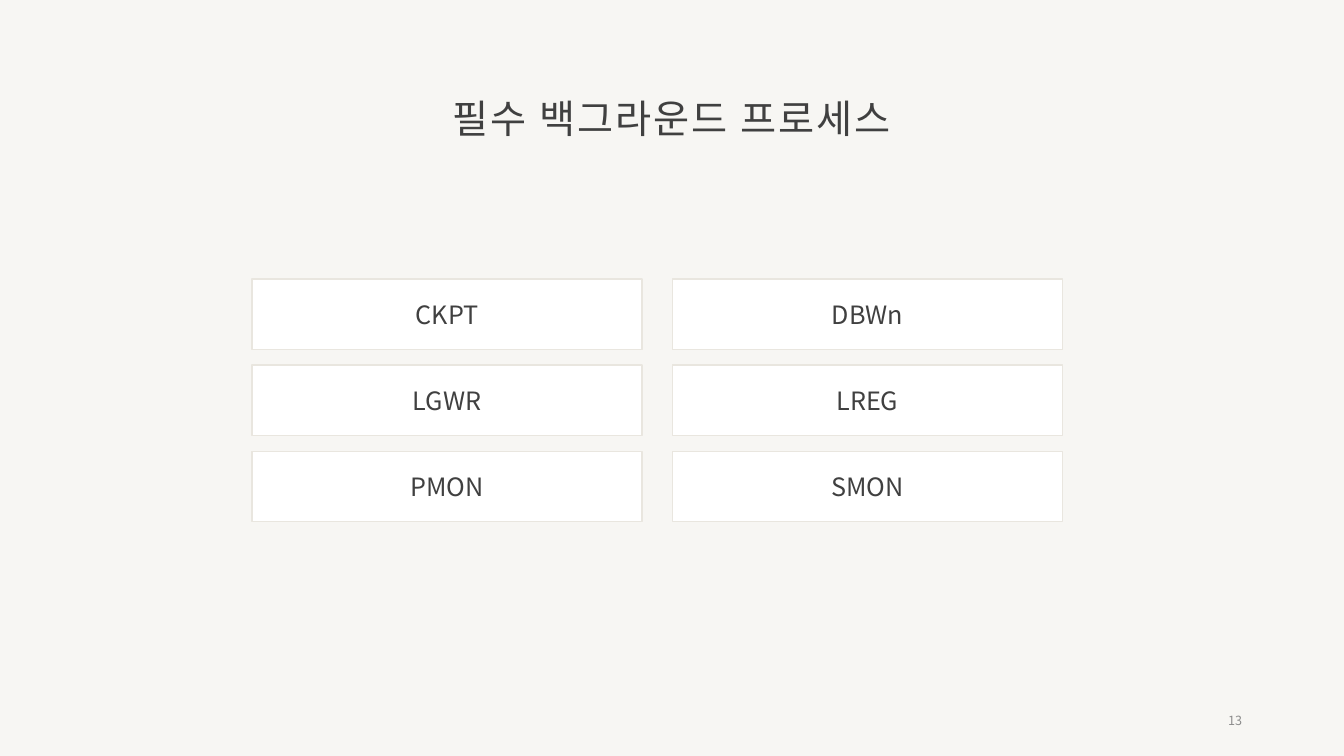
from lxml.etree import SubElement
from pptx import Presentation
from pptx.dml.color import RGBColor
from pptx.enum.shapes import MSO_SHAPE
from pptx.enum.text import MSO_ANCHOR, PP_ALIGN
from pptx.oxml.ns import qn
from pptx.util import Pt

# Content
TITLE = "필수 백그라운드 프로세스"
PROCESSES = [
    ("CKPT", "DBWn"),
    ("LGWR", "LREG"),
    ("PMON", "SMON"),
]
PAGE_NUMBER = "13"

# Style
FONT = "Noto Sans CJK KR"
BACKGROUND, CARD, BORDER = "F7F6F3", "FFFFFF", "E9E6DF"
INK, MUTED = "404040", "8C8C8C"

# Card grid, in points
GRID_LEFT, GRID_TOP = 180, 199.2
CARD_WIDTH, CARD_HEIGHT = 278.64, 50.4
COLUMN_STEP, ROW_STEP = 300.24, 61.56


def colour(hex_code):
    return RGBColor.from_string(hex_code)


def write(shape, text, size, ink, align=PP_ALIGN.CENTER):
    """Put one line of text in a shape and return its paragraph and run."""
    frame = shape.text_frame
    frame.word_wrap = True
    frame.vertical_anchor = MSO_ANCHOR.MIDDLE
    paragraph = frame.paragraphs[0]
    paragraph.alignment = align
    run = paragraph.add_run()
    run.text = text
    run.font.size = Pt(size)
    run.font.color.rgb = colour(ink)
    run.font.name = FONT
    SubElement(run.font._element, qn("a:ea"), typeface=FONT)
    return paragraph, run


def add_card(slide, name, left, top):
    card = slide.shapes.add_shape(
        MSO_SHAPE.RECTANGLE, Pt(left), Pt(top), Pt(CARD_WIDTH), Pt(CARD_HEIGHT))
    card.shadow.inherit = False
    card.fill.solid()
    card.fill.fore_color.rgb = colour(CARD)
    card.line.color.rgb = colour(BORDER)
    card.line.width = Pt(1)
    write(card, name, 18, INK)


def main():
    deck = Presentation()
    deck.slide_width, deck.slide_height = Pt(960), Pt(540)
    slide = deck.slides.add_slide(deck.slide_layouts[6])
    slide.background.fill.solid()
    slide.background.fill.fore_color.rgb = colour(BACKGROUND)

    # Page number
    page = slide.shapes.add_textbox(Pt(678.24), Pt(500.4), Pt(216), Pt(28.8))
    write(page, PAGE_NUMBER, 9, MUTED, PP_ALIGN.RIGHT)

    # Title, with letters spaced by 1.5 points
    title = slide.shapes.add_textbox(Pt(148.32), Pt(33.84), Pt(663.12), Pt(104.4))
    paragraph, run = write(title, TITLE, 28, INK)
    paragraph.line_spacing = 0.9
    run.font._element.set("spc", "150")

    # Process cards
    for row, names in enumerate(PROCESSES):
        for column, name in enumerate(names):
            add_card(slide, name, GRID_LEFT + column * COLUMN_STEP,
                     GRID_TOP + row * ROW_STEP)

    deck.save("out.pptx")


if __name__ == "__main__":
    main()
